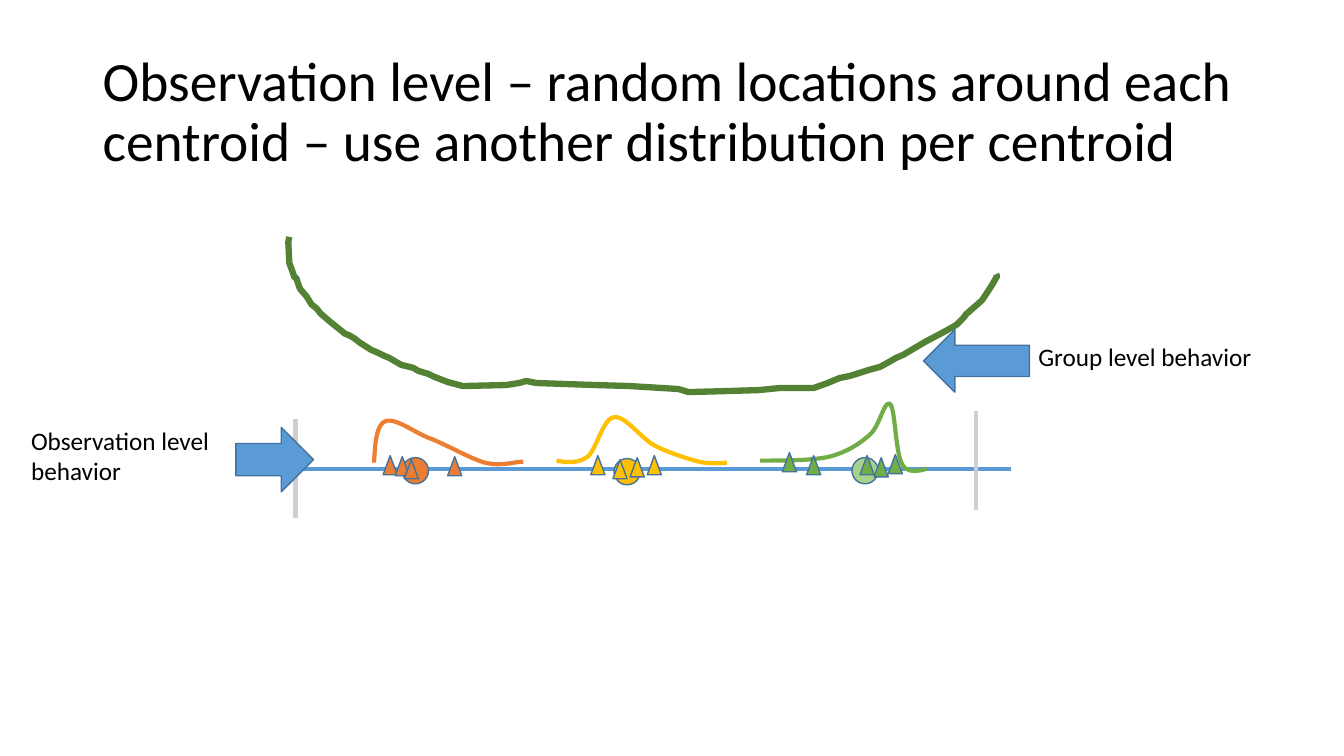
from lxml.etree import SubElement
from pptx import Presentation
from pptx.dml.color import RGBColor
from pptx.enum.shapes import MSO_CONNECTOR, MSO_SHAPE
from pptx.enum.text import MSO_ANCHOR
from pptx.oxml.ns import qn
from pptx.util import Inches, Pt

BLACK = RGBColor(0x00, 0x00, 0x00)
BLUE = RGBColor(0x5B, 0x9B, 0xD5)
OUTLINE = RGBColor(0x43, 0x73, 0x9E)
GRAY = RGBColor(0xD0, 0xCE, 0xCE)
DARK_GREEN = RGBColor(0x54, 0x82, 0x35)
GREEN = RGBColor(0x70, 0xAD, 0x47)
LIGHT_GREEN = RGBColor(0xA9, 0xD1, 0x8E)
ORANGE = RGBColor(0xED, 0x7D, 0x31)
GOLD = RGBColor(0xFF, 0xC0, 0x00)

# Group distribution, as points from the top left of its box
GROUP_CURVE = [
    (0.01, 0), (0, 0.05), (0.01, 0.26), (0.04, 0.34), (0.06, 0.4), (0.08, 0.41),
    (0.11, 0.5), (0.12, 0.52), (0.18, 0.59), (0.23, 0.67), (0.28, 0.71),
    (0.32, 0.76), (0.4, 0.83), (0.45, 0.87), (0.5, 0.91), (0.56, 0.96),
    (0.61, 0.98), (0.66, 1.01), (0.71, 1.05), (0.82, 1.12), (0.89, 1.15),
    (0.95, 1.18), (1, 1.2), (1.12, 1.27), (1.24, 1.3), (1.29, 1.33),
    (1.39, 1.36), (1.45, 1.39), (1.58, 1.44), (1.73, 1.48), (2.16, 1.47),
    (2.29, 1.45), (2.36, 1.43), (2.46, 1.45), (3.04, 1.47), (3.38, 1.48),
    (3.71, 1.5), (3.87, 1.51), (3.97, 1.54), (4.35, 1.53), (4.67, 1.52),
    (4.87, 1.5), (5.21, 1.5), (5.35, 1.45), (5.47, 1.4), (5.57, 1.38),
    (5.76, 1.32), (5.87, 1.29), (5.96, 1.24), (6.03, 1.2), (6.1, 1.17),
    (6.32, 1.04), (6.49, 0.95), (6.58, 0.9), (6.63, 0.87), (6.7, 0.8),
    (6.72, 0.77), (6.88, 0.63), (6.94, 0.54), (6.99, 0.46), (7.03, 0.39),
    (7.02, 0.37),
]

# Per centroid: left, curve colour, centroid colour, centroid place,
# Bezier points of the curve, places of the observations
CLUSTERS = [
    (3.71, ORANGE, ORANGE, (0.28, 0.54),
     [(0, 0.59), (0.01, 0.41), (0.02, 0.22), (0.11, 0.18), (0.2, 0.14),
      (0.37, 0.27), (0.53, 0.34), (0.7, 0.4), (0.95, 0.55), (1.1, 0.59),
      (1.26, 0.63), (1.4, 0.58), (1.48, 0.58)],
     [(0.09, 0.52), (0.73, 0.53), (0.21, 0.53), (0.3, 0.56)]),
    (5.52, GOLD, GOLD, (0.57, 0.55),
     [(0, 0.57), (0.1, 0.59), (0.21, 0.6), (0.31, 0.53), (0.4, 0.45),
      (0.46, 0.15), (0.57, 0.14), (0.68, 0.12), (0.83, 0.34), (0.97, 0.42),
      (1.11, 0.49), (1.29, 0.55), (1.41, 0.58), (1.53, 0.61), (1.69, 0.59),
      (1.69, 0.59)],
     [(0.34, 0.52), (0.9, 0.52), (0.56, 0.56), (0.73, 0.54)]),
    (7.54, GREEN, LIGHT_GREEN, (0.91, 0.54),
     [(0, 0.57), (0.25, 0.57), (0.51, 0.57), (0.69, 0.53), (0.87, 0.48),
      (0.99, 0.4), (1.09, 0.31), (1.19, 0.22), (1.23, -0.04), (1.29, 0.01),
      (1.34, 0.06), (1.34, 0.5), (1.41, 0.61), (1.47, 0.72), (1.65, 0.65),
      (1.65, 0.65)],
     [(1.27, 0.51), (1.13, 0.54), (0.99, 0.52), (0.46, 0.52), (0.22, 0.49)]),
]


def add_text(s, text, x, y, w, h, size=18, anchor=MSO_ANCHOR.TOP, spacing=1.0):
    tf = s.shapes.add_textbox(Inches(x), Inches(y), Inches(w), Inches(h)).text_frame
    tf.word_wrap = True
    tf.vertical_anchor = anchor
    p = tf.paragraphs[0]
    p.line_spacing = spacing
    r = p.add_run()
    r.text = text
    r.font.name = "Calibri"
    r.font.size = Pt(size)
    r.font.color.rgb = BLACK


def add_line(s, x1, y1, x2, y2, color):
    line = s.shapes.add_connector(MSO_CONNECTOR.STRAIGHT, Inches(x1), Inches(y1),
                                  Inches(x2), Inches(y2))
    line.line.color.rgb = color
    line.line.width = Pt(3)
    SubElement(line._element.spPr, qn("a:effectLst"))


def add_filled(s, kind, x, y, w, h, color):
    sp = s.shapes.add_shape(kind, Inches(x), Inches(y), Inches(w), Inches(h))
    sp.shadow.inherit = False
    sp.fill.solid()
    sp.fill.fore_color.rgb = color
    sp.line.color.rgb = OUTLINE
    sp.line.width = Pt(1)
    return sp


def add_curve(s, x, y, points, color, width):
    points = [(Inches(x + dx), Inches(y + dy)) for dx, dy in points]
    builder = s.shapes.build_freeform(*points[0])
    builder.add_line_segments(points[1:], close=False)
    sp = builder.convert_to_shape()
    sp.shadow.inherit = False
    sp.fill.background()
    sp.line.color.rgb = color
    sp.line.width = Pt(width)


def bezier(points, steps=12):
    """Sample a chain of cubic Bezier segments."""
    result = [points[0]]
    for i in range(0, len(points) - 1, 3):
        for t in (k / steps for k in range(1, steps + 1)):
            weights = ((1 - t) ** 3, 3 * t * (1 - t) ** 2, 3 * t * t * (1 - t), t ** 3)
            result.append(tuple(sum(w * pt[axis] for w, pt in zip(weights, points[i:i + 4]))
                                for axis in (0, 1)))
    return result


def add_axis(s, x, y, w):
    add_line(s, x, y, x + w, y, BLUE)
    for dx, dy in ((0.19, -0.49), (6.94, -0.57)):
        add_line(s, x + dx, y + dy, x + dx, y + dy + 0.98, GRAY)


def add_cluster(s, x, y, color, centroid_color, centroid, curve, observations):
    add_filled(s, MSO_SHAPE.OVAL, x + centroid[0], y + centroid[1], 0.26, 0.26,
               centroid_color)
    add_curve(s, x, y, bezier(curve), color, 3)
    for dx, dy in observations:
        add_filled(s, MSO_SHAPE.ISOSCELES_TRIANGLE, x + dx, y + dy, 0.14, 0.19, color)


def add_labels(s, x, y):
    add_text(s, "Observation level behavior", x, y + 0.83, 2.35, 0.71)
    add_text(s, "Group level behavior", x + 9.99, y, 2.35, 0.4)
    arrow = add_filled(s, MSO_SHAPE.RIGHT_ARROW, x + 8.95, y - 0.07, 1.05, 0.62, BLUE)
    arrow.rotation = 180
    add_filled(s, MSO_SHAPE.RIGHT_ARROW, x + 2.13, y + 0.9, 0.77, 0.64, BLUE)


def main():
    prs = Presentation()
    prs.slide_width, prs.slide_height = Inches(13.33), Inches(7.5)
    s = prs.slides.add_slide(prs.slide_layouts[6])

    # Title
    add_text(s, "Observation level – random locations around each centroid – "
             "use another distribution per centroid", 0.92, 0.4, 11.5, 1.45,
             size=39.6, anchor=MSO_ANCHOR.MIDDLE, spacing=0.9)
    # Axis with its limits, and the group distribution above it
    add_axis(s, 2.74, 4.65, 7.29)
    add_curve(s, 2.86, 2.35, GROUP_CURVE, DARK_GREEN, 4.5)
    # Centroids with their observations
    for x, *parts in CLUSTERS:
        add_cluster(s, x, 4, *parts)
    # Labels and arrows
    add_labels(s, 0.21, 3.34)

    prs.save("out.pptx")


if __name__ == "__main__":
    main()
